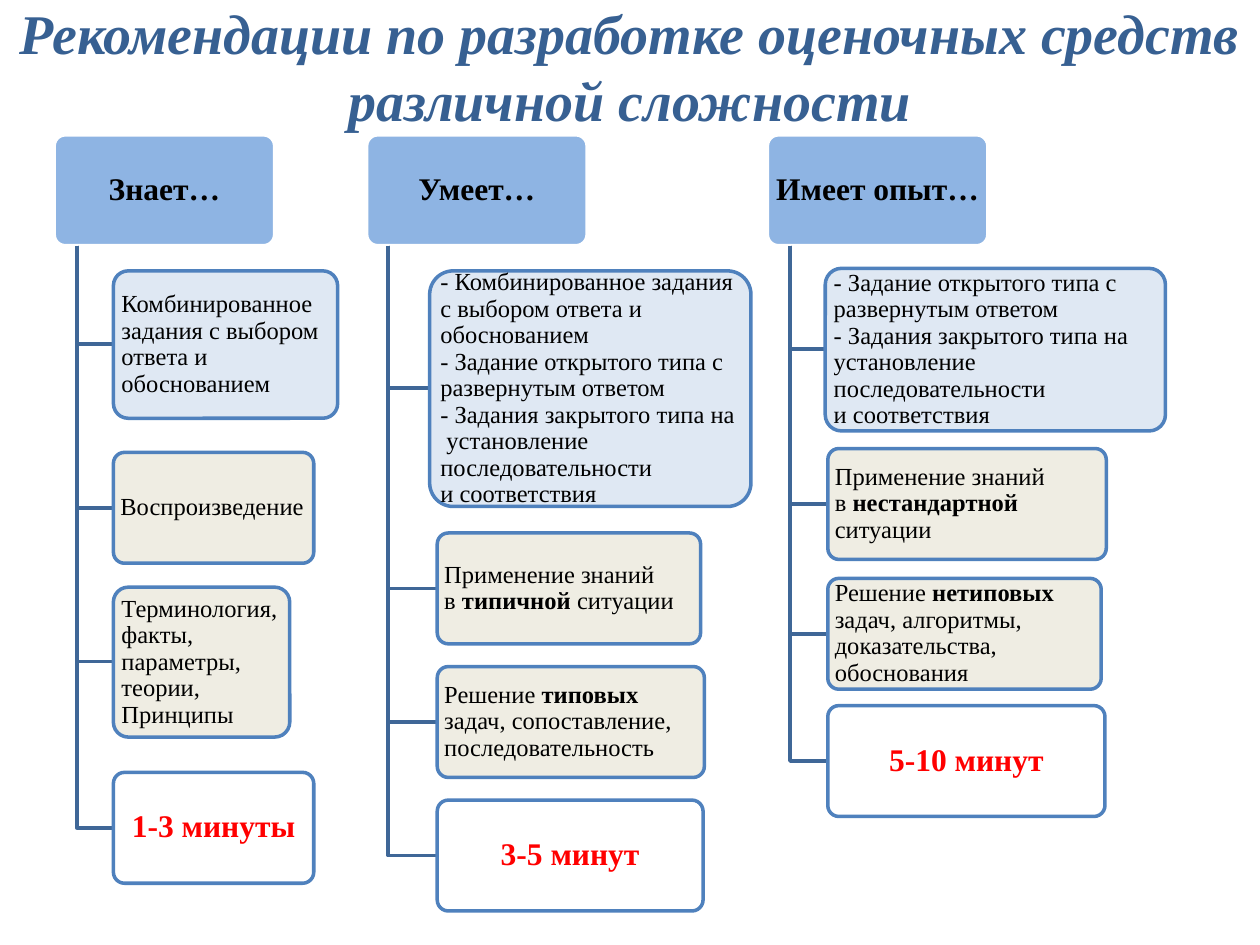
from dataclasses import dataclass

from pptx import Presentation
from pptx.dml.color import RGBColor
from pptx.enum.shapes import MSO_SHAPE
from pptx.enum.text import MSO_ANCHOR, PP_ALIGN
from pptx.oxml.ns import qn
from pptx.util import Pt
from lxml import etree

ROUNDED = MSO_SHAPE.ROUNDED_RECTANGLE
MIDDLE = MSO_ANCHOR.MIDDLE
LEFT, CENTER = PP_ALIGN.LEFT, PP_ALIGN.CENTER

PX = 9144  # EMU per px, 100 px to the inch
FONT = "Times New Roman"
COLORS = {
    "title": "376092", "head": "8EB4E3", "white": "FFFFFF", "black": "000000",
    "branch": "3F6797", "border": "4F81BD", "task": "DCE6F2",
    "skill": "EEECE1", "time": "FFFFFF", "red": "FF0000",
}
HEAD_TOP, HEAD_W, ROW_H = 107, 175, 88
HEAD_BOTTOM = HEAD_TOP + ROW_H


@dataclass
class Box:
    x: int
    y: int
    w: int
    lines: list[str]  # one paragraph each, *bold* between asterisks
    kind: str = "skill"
    h: int = ROW_H


@dataclass
class Column:
    x: int
    trunk_x: int
    heading: str
    boxes: list[Box]


COLUMNS = [
    Column(43, 61, "Знает…", [
        Box(90, 215, 178, ["Комбинированное задания с выбором ответа и обоснованием"],
            "task", 117),
        Box(90, 359, 159, ["Воспроизведение"]),
        Box(90, 466, 140, ["Терминология, факты,", "параметры, теории,", "Принципы"],
            h=119),
        Box(90, 613, 159, ["1-3 минуты"], "time"),
    ]),
    Column(291, 308, "Умеет…", [
        Box(341, 215, 255, ["- Комбинированное задания с выбором ответа и обоснованием",
                            "- Задание открытого типа с развернутым ответом",
                            "- Задания закрытого типа на  установление",
                            "последовательности", "и соответствия"], "task", 187),
        Box(347, 423, 209, ["Применение знаний", "в *типичной* ситуации"]),
        Box(347, 529, 212, ["Решение *типовых*", "задач, сопоставление,",
                            "последовательность"]),
        Box(347, 635, 211, ["3-5 минут"], "time"),
    ]),
    Column(609, 627, "Имеет опыт…", [
        Box(655, 213, 270, ["- Задание открытого типа с развернутым ответом",
                            "- Задания закрытого типа на установление",
                            "последовательности", "и соответствия"], "task", 129),
        Box(657, 356, 221, ["Применение знаний", "в *нестандартной*", "ситуации"]),
        Box(657, 459, 217, ["Решение *нетиповых*", "задач, алгоритмы,",
                            "доказательства,", "обоснования"]),
        Box(657, 560, 220, ["5-10 минут"], "time"),
    ]),
]


def rgb(name: str) -> RGBColor:
    return RGBColor.from_string(COLORS[name])


def style_line(sp, color: str) -> None:
    sp.shadow.inherit = False
    sp.line.color.rgb = rgb(color)
    sp.line.width = Pt(2)


def set_font(p, size: int, color: str, bold: bool = False) -> None:
    p.font.name = FONT
    p.font.size = Pt(size)
    p.font.bold = bold
    p.font.color.rgb = rgb(color)


def add_box(shapes, box: Box) -> None:
    sp = shapes.add_shape(ROUNDED, box.x * PX, box.y * PX, box.w * PX, box.h * PX)
    sp.adjustments[0] = 0.1
    sp.fill.solid()
    sp.fill.fore_color.rgb = rgb(box.kind)
    is_head = box.kind == "head"
    style_line(sp, "white" if is_head else "border")
    if not is_head:
        fill = sp.fill._xPr.find(qn("a:solidFill"))
        etree.SubElement(fill[0], qn("a:alpha"), val="90000")

    large = box.kind in ("head", "time")
    tf = sp.text_frame
    tf.word_wrap = True
    tf.vertical_anchor = MIDDLE
    tf.margin_left = tf.margin_right = (4 if large else 3) * PX
    tf.margin_top = tf.margin_bottom = (3 if large else 2) * PX
    for i, line in enumerate(box.lines):
        p = tf.add_paragraph() if i else tf.paragraphs[0]
        p.alignment = CENTER if large else LEFT
        p.line_spacing = 0.9
        set_font(p, 18 if large else 14, "red" if box.kind == "time" else "black", large)
        for j, part in enumerate(line.split("*")):
            if part:
                r = p.add_run()
                r.text = part
                if j % 2:
                    r.font.bold = True


def add_branch(shapes, trunk_x: int, box: Box) -> None:
    mid_y = box.y + box.h // 2
    builder = shapes.build_freeform(trunk_x, HEAD_BOTTOM, scale=PX)
    builder.add_line_segments([(trunk_x, mid_y), (box.x, mid_y)], close=False)
    sp = builder.convert_to_shape()
    sp.fill.background()
    style_line(sp, "branch")


def add_title(shapes, text: str) -> None:
    tf = shapes.add_textbox(0, 5 * PX, 1000 * PX, 94 * PX).text_frame
    tf.word_wrap = True
    tf.vertical_anchor = MIDDLE
    p = tf.paragraphs[0]
    p.text = text
    p.alignment = CENTER
    set_font(p, 32, "title", True)
    p.font.italic = True


def main() -> None:
    prs = Presentation()
    prs.slide_width, prs.slide_height = 1000 * PX, 750 * PX
    shapes = prs.slides.add_slide(prs.slide_layouts[6]).shapes

    # Three columns: heading, then boxes hanging from its trunk
    for col in COLUMNS:
        add_box(shapes, Box(col.x, HEAD_TOP, HEAD_W, [col.heading], "head"))
        for box in col.boxes:
            add_branch(shapes, col.trunk_x, box)
            add_box(shapes, box)

    # Title
    add_title(shapes, "Рекомендации по разработке оценочных средств различной сложности")
    prs.save("out.pptx")


if __name__ == "__main__":
    main()
